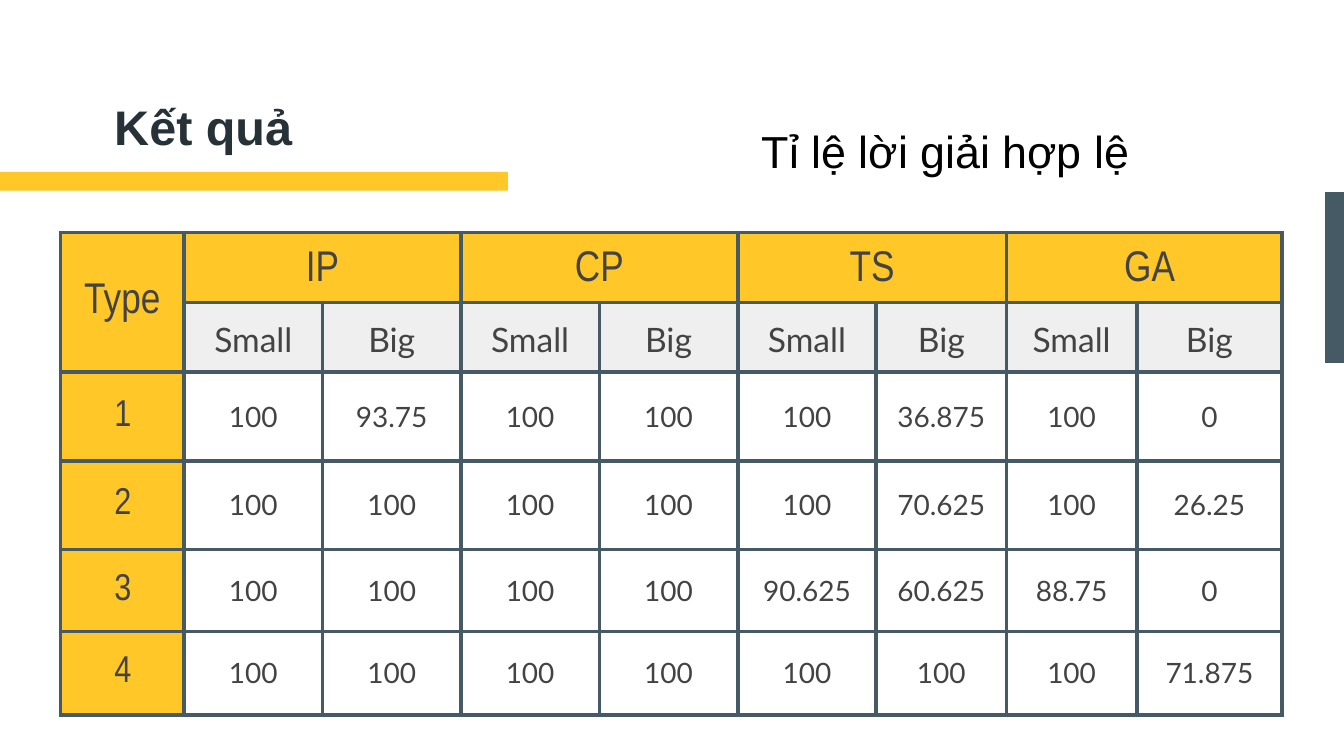
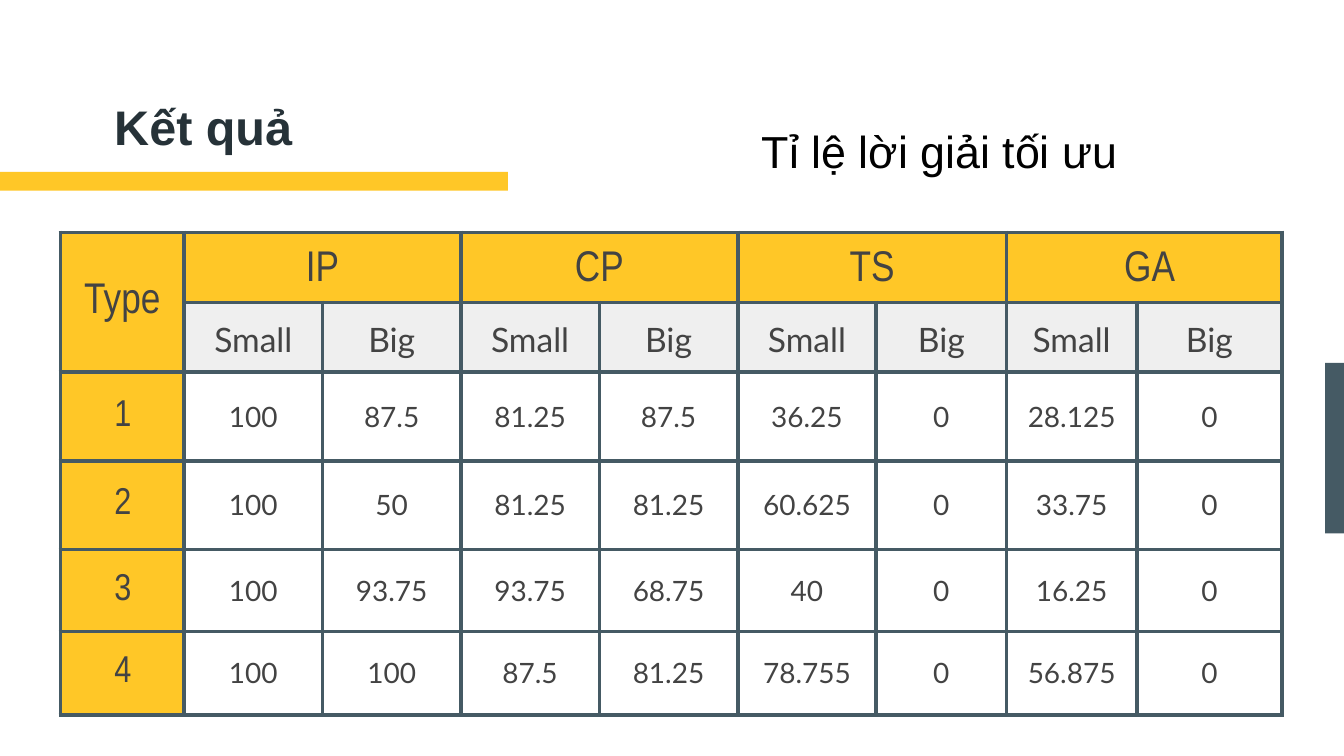
"""Build two result slides comparing solvers by problem type and size."""
import lxml.etree
import pptx
import pptx.dml.color
import pptx.enum.shapes
import pptx.enum.text
import pptx.oxml.ns
import pptx.util

Inches = pptx.util.Inches
Align = pptx.enum.text.PP_ALIGN
Anchor = pptx.enum.text.MSO_ANCHOR

SLIDE_WIDTH = 10
SLIDE_HEIGHT = SLIDE_WIDTH * 9 / 16

YELLOW = "FFC727"
SLATE = "455A64"
TITLE_INK = "263238"
TABLE_INK = "434343"
PALE = "EFEFEF"
BLACK = "000000"

SOLVERS = ["IP", "CP", "TS", "GA"]
SIZES = ["Small", "Big"]
COLUMN_WIDTHS = [0.92] + [1.03] * 5 + [0.97, 0.97, 1.08]
ROW_HEIGHTS = [0.52, 0.52, 0.66, 0.66, 0.61, 0.62]
TAB_TOP, TAB_HEIGHT = 1.43, 1.27

RESULTS = [
    ("Tỉ lệ lời giải hợp lệ", [
        ["100", "93.75", "100", "100", "100", "36.875", "100", "0"],
        ["100", "100", "100", "100", "100", "70.625", "100", "26.25"],
        ["100", "100", "100", "100", "90.625", "60.625", "88.75", "0"],
        ["100", "100", "100", "100", "100", "100", "100", "71.875"],
    ]),
    ("Tỉ lệ lời giải tối ưu", [
        ["100", "87.5", "81.25", "87.5", "36.25", "0", "28.125", "0"],
        ["100", "50", "81.25", "81.25", "60.625", "0", "33.75", "0"],
        ["100", "93.75", "93.75", "68.75", "40", "0", "16.25", "0"],
        ["100", "100", "87.5", "81.25", "78.755", "0", "56.875", "0"],
    ]),
]


def rgb(color):
    return pptx.dml.color.RGBColor.from_string(color)


def write(frame, text, font="Arial", size=24, color=BLACK, bold=False,
          align=Align.LEFT, indent=0, space_before=0):
    para = frame.paragraphs[0]
    para.alignment = align
    para.space_before = pptx.util.Pt(space_before)
    if indent:
        properties = para._p.get_or_add_pPr()
        properties.set("marL", str(Inches(indent)))
        properties.set("indent", "0")
    span = para.add_run()
    span.text = text
    span.font.name = font
    span.font.size = pptx.util.Pt(size)
    span.font.bold = bold
    span.font.color.rgb = rgb(color)


def set_insets(holder, left, top, right, bottom):
    holder.margin_left = Inches(left)
    holder.margin_top = Inches(top)
    holder.margin_right = Inches(right)
    holder.margin_bottom = Inches(bottom)


def add_title(slide, text):
    title = slide.shapes.title
    title.left, title.top = Inches(0.75), Inches(0.58)
    title.width, title.height = Inches(4.47), Inches(0.71)
    frame = title.text_frame
    frame.auto_size = pptx.enum.text.MSO_AUTO_SIZE.NONE
    frame.vertical_anchor = Anchor.MIDDLE
    set_insets(frame, 0.1, 0.1, 0.1, 0.1)
    write(frame, text, size=26, color=TITLE_INK, bold=True)


def add_caption(slide, text):
    box = slide.shapes.add_textbox(
        Inches(5.57), Inches(0.82), Inches(3.23), Inches(0.61))
    frame = box.text_frame
    frame.word_wrap = True
    frame.auto_size = pptx.enum.text.MSO_AUTO_SIZE.SHAPE_TO_FIT_TEXT
    set_insets(frame, 0.1, 0.1, 0.1, 0.1)
    write(frame, text)


def add_band(slide, left, top, width, height, color):
    band = slide.shapes.add_shape(
        pptx.enum.shapes.MSO_SHAPE.RECTANGLE,
        Inches(left), Inches(top), Inches(width), Inches(height))
    band.shadow.inherit = False
    band.fill.solid()
    band.fill.fore_color.rgb = rgb(color)
    band.line.fill.background()


def set_borders(cell, color, points):
    properties = cell._tc.get_or_add_tcPr()
    for side in ("a:lnL", "a:lnR", "a:lnT", "a:lnB"):
        line = lxml.etree.SubElement(
            properties, pptx.oxml.ns.qn(side), w=str(pptx.util.Pt(points)))
        fill = lxml.etree.SubElement(line, pptx.oxml.ns.qn("a:solidFill"))
        lxml.etree.SubElement(fill, pptx.oxml.ns.qn("a:srgbClr"), val=color)


def fill_cell(cell, text, fill=None, top_inset=0, anchor=Anchor.MIDDLE,
              **text_format):
    if fill:
        cell.fill.solid()
        cell.fill.fore_color.rgb = rgb(fill)
    set_insets(cell, 0, top_inset, 0, 0)
    cell.vertical_anchor = anchor
    write(cell.text_frame, text, color=TABLE_INK, align=Align.CENTER,
          **text_format)


def add_grid(slide):
    table = slide.shapes.add_table(
        len(ROW_HEIGHTS), len(COLUMN_WIDTHS), Inches(0.45), Inches(1.73),
        Inches(sum(COLUMN_WIDTHS)), Inches(sum(ROW_HEIGHTS))).table
    table.first_row = False
    table.horz_banding = False
    for column, width in zip(table.columns, COLUMN_WIDTHS):
        column.width = Inches(width)
    for row, height in zip(table.rows, ROW_HEIGHTS):
        row.height = Inches(height)
    for cell in table.iter_cells():
        set_borders(cell, SLATE, 2.25)
        cell.fill.background()
    return table


def add_results_table(slide, rates):
    table = add_grid(slide)
    table.cell(0, 0).merge(table.cell(1, 0))
    fill_cell(table.cell(0, 0), "Type", YELLOW, font="Arial Narrow", size=23)
    header = {"top_inset": 0.13, "anchor": Anchor.TOP}
    for index, solver in enumerate(SOLVERS):
        first = 1 + index * len(SIZES)
        table.cell(0, first).merge(table.cell(0, first + len(SIZES) - 1))
        shift = {"indent": 0.08, "space_before": 2} if solver == "GA" else {}
        fill_cell(table.cell(0, first), solver, YELLOW,
                  font="Arial Narrow", size=23, **header, **shift)
        for offset, size_name in enumerate(SIZES):
            fill_cell(table.cell(1, first + offset), size_name, PALE,
                      font="Lato", size=18, **header)
    for number, values in enumerate(rates, start=1):
        row = number + 1
        fill_cell(table.cell(row, 0), str(number), YELLOW,
                  font="Arial Narrow", size=20, indent=0.01)
        for column, value in enumerate(values, start=1):
            fill_cell(table.cell(row, column), value, font="Lato", size=15)


def main():
    deck = pptx.Presentation()
    deck.slide_width = Inches(SLIDE_WIDTH)
    deck.slide_height = Inches(SLIDE_HEIGHT)
    title_only = deck.slide_layouts[5]
    for index, (caption, rates) in enumerate(RESULTS):
        slide = deck.slides.add_slide(title_only)
        add_title(slide, "Kết quả")
        add_results_table(slide, rates)
        add_band(slide, 0, 1.28, 3.78, 0.14, YELLOW)
        add_band(slide, 9.86, TAB_TOP + index * TAB_HEIGHT, 0.14, TAB_HEIGHT,
                 SLATE)
        add_caption(slide, caption)
    deck.save("out.pptx")


if __name__ == "__main__":
    main()
